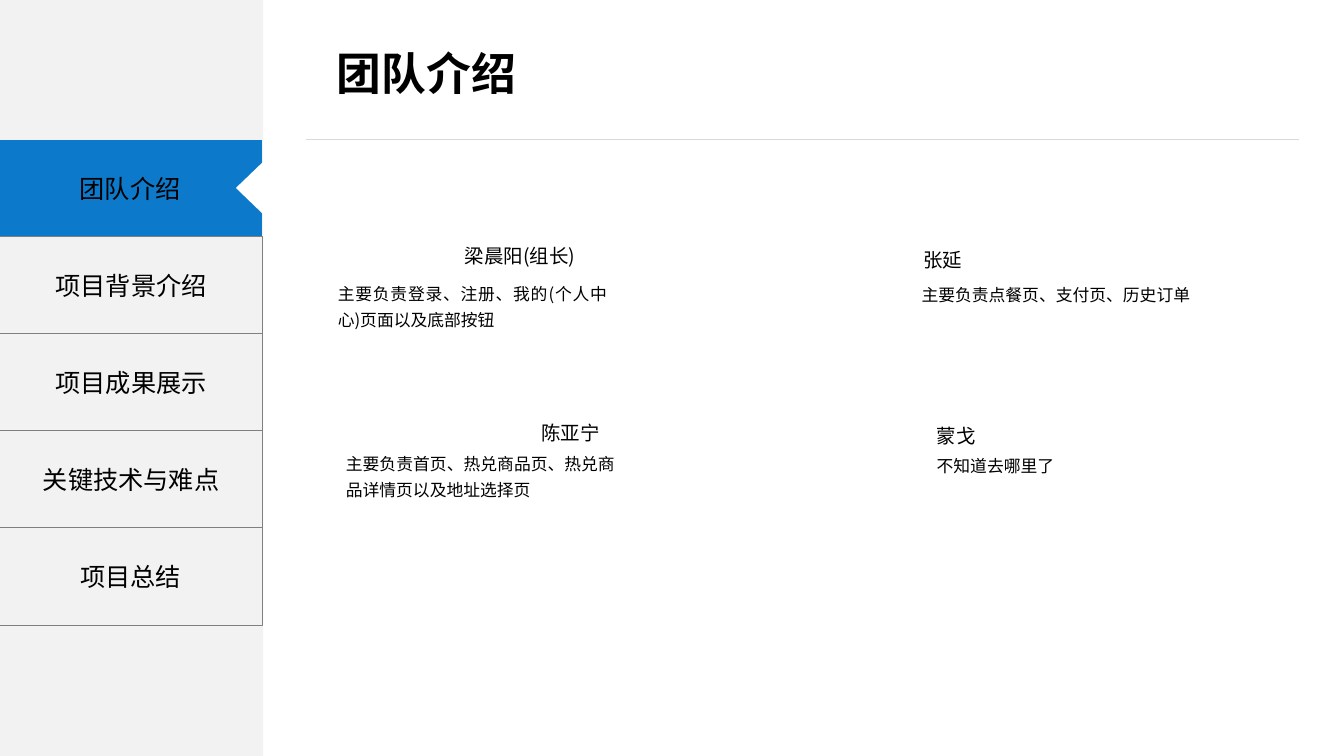
from dataclasses import dataclass

import pptx
import pptx.dml.color
import pptx.enum.shapes
import pptx.enum.text
import pptx.oxml
import pptx.oxml.ns
import pptx.util

Inches = pptx.util.Inches
Pt = pptx.util.Pt
Shape = pptx.enum.shapes.MSO_SHAPE
Align = pptx.enum.text.PP_ALIGN


@dataclass(frozen=True)
class Theme:
    ink: str = "000000"
    paper: str = "FFFFFF"
    panel: str = "F2F2F2"
    active: str = "0D79CA"
    edge: str = "808080"
    rule: str = "D9D9D9"
    latin: str = "Arial"
    asian: str = "Noto Sans CJK SC"
    title: int = 32
    name: int = 24
    menu: int = 18
    duty: int = 12


THEME = Theme()
MENU = ["团队介绍", "项目背景介绍", "项目成果展示", "关键技术与难点", "项目总结"]
MENU_TOP, MENU_END = 1.38, 6.2
ITEM_H = 0.97

# Each member: name, name box, duty, duty box
TEAM = [
    ("梁晨阳(组长)", (4.52, 2.27, 1.6, 0.27),
     "主要负责登录、注册、我的(个人中心)页面以及底部按钮", (3.26, 2.71, 2.85, 0.62)),
    ("张延", (9.07, 2.31, 1.74, 0.27),
     "主要负责点餐页、支付页、历史订单", (9.05, 2.72, 3.43, 0.35)),
    ("陈亚宁", (5.28, 4.03, 1.74, 0.27),
     "主要负责首页、热兑商品页、热兑商品详情页以及地址选择页", (3.34, 4.4, 2.85, 0.62)),
    ("蒙戈", (9.2, 4.06, 1.74, 0.27),
     "不知道去哪里了", (9.2, 4.42, 1.42, 0.35)),
]


def color(code):
    return pptx.dml.color.RGBColor.from_string(code)


def add_block(slide, kind, box, fill, line=None, width=0.75):
    shape = slide.shapes.add_shape(kind, *map(Inches, box))
    shape.shadow.inherit = False
    shape.fill.solid()
    shape.fill.fore_color.rgb = color(fill)
    if line:
        shape.line.color.rgb = color(line)
        shape.line.width = Pt(width)
    else:
        shape.line.fill.background()
    return shape


def write(shape, text, size, face, pad, align=Align.LEFT, bold=False):
    """Put one run in the shape; pad is the side and the top inset."""
    frame = shape.text_frame
    frame.word_wrap = True
    frame.auto_size = pptx.enum.text.MSO_AUTO_SIZE.SHAPE_TO_FIT_TEXT
    frame.margin_left = frame.margin_right = Inches(pad[0])
    frame.margin_top = frame.margin_bottom = Inches(pad[1])
    para = frame.paragraphs[0]
    para.alignment = align
    run = para.add_run()
    run.text = text
    run.font.size = Pt(size)
    run.font.bold = bold
    run.font.color.rgb = color(THEME.ink)
    run.font.name = face
    east = pptx.oxml.parse_xml(
        f'<a:ea {pptx.oxml.ns.nsdecls("a")} typeface="{face}"/>')
    run._r.get_or_add_rPr().append(east)
    return para


def add_text(slide, box, *args, **more):
    return write(slide.shapes.add_textbox(*map(Inches, box)), *args, **more)


def add_menu(slide):
    step = (MENU_END - MENU_TOP) / len(MENU)
    last = len(MENU) - 1
    for i, label in enumerate(MENU):
        left = {0: -0.02, last: -0.01}.get(i, 0)
        fill, line = ((THEME.active, THEME.panel) if i == 0
                      else (THEME.panel, THEME.edge))
        box = (left, MENU_TOP + i * step, 2.6 - left, ITEM_H)
        item = add_block(slide, Shape.RECTANGLE, box, fill, line)
        item.text_frame.vertical_anchor = pptx.enum.text.MSO_ANCHOR.MIDDLE
        write(item, label, THEME.menu, THEME.latin, (0.1, 0.31), Align.CENTER)
    add_block(slide, Shape.DIAMOND, (2.35, 1.61, 0.53, 0.51),
              THEME.paper, THEME.paper, 1)


def add_rule(slide, left, right, top):
    rule = slide.shapes.add_connector(
        pptx.enum.shapes.MSO_CONNECTOR.STRAIGHT,
        Inches(left), Inches(top), Inches(right), Inches(top))
    rule.line.color.rgb = color(THEME.rule)
    rule.line.width = Pt(0.75)
    rule._element.spPr.append(pptx.oxml.parse_xml(
        f'<a:effectLst {pptx.oxml.ns.nsdecls("a")}/>'))


def add_member(slide, name, name_box, duty, duty_box):
    para = add_text(slide, duty_box, duty, THEME.duty, THEME.asian,
                    (0.09, 0.04), Align.JUSTIFY)
    para.line_spacing = 1.3
    para = add_text(slide, name_box, name, THEME.name, THEME.asian, (0.09, 0))
    # Lowered slightly, which also draws the name smaller
    para.runs[0]._r.get_or_add_rPr().set("baseline", "-3000")


def main():
    deck = pptx.Presentation()
    deck.slide_width, deck.slide_height = Inches(13.33), Inches(7.5)
    slide = deck.slides.add_slide(deck.slide_layouts[6])
    add_block(slide, Shape.RECTANGLE, (0, 0, 2.61, 7.5), THEME.panel)
    add_menu(slide)
    add_rule(slide, 3.04, 12.88, MENU_TOP)
    add_text(slide, (3.24, 0.4, 2.48, 0.64), MENU[0], THEME.title,
             THEME.latin, (0.1, 0.05), bold=True)
    for member in TEAM:
        add_member(slide, *member)
    deck.save("out.pptx")


if __name__ == "__main__":
    main()
